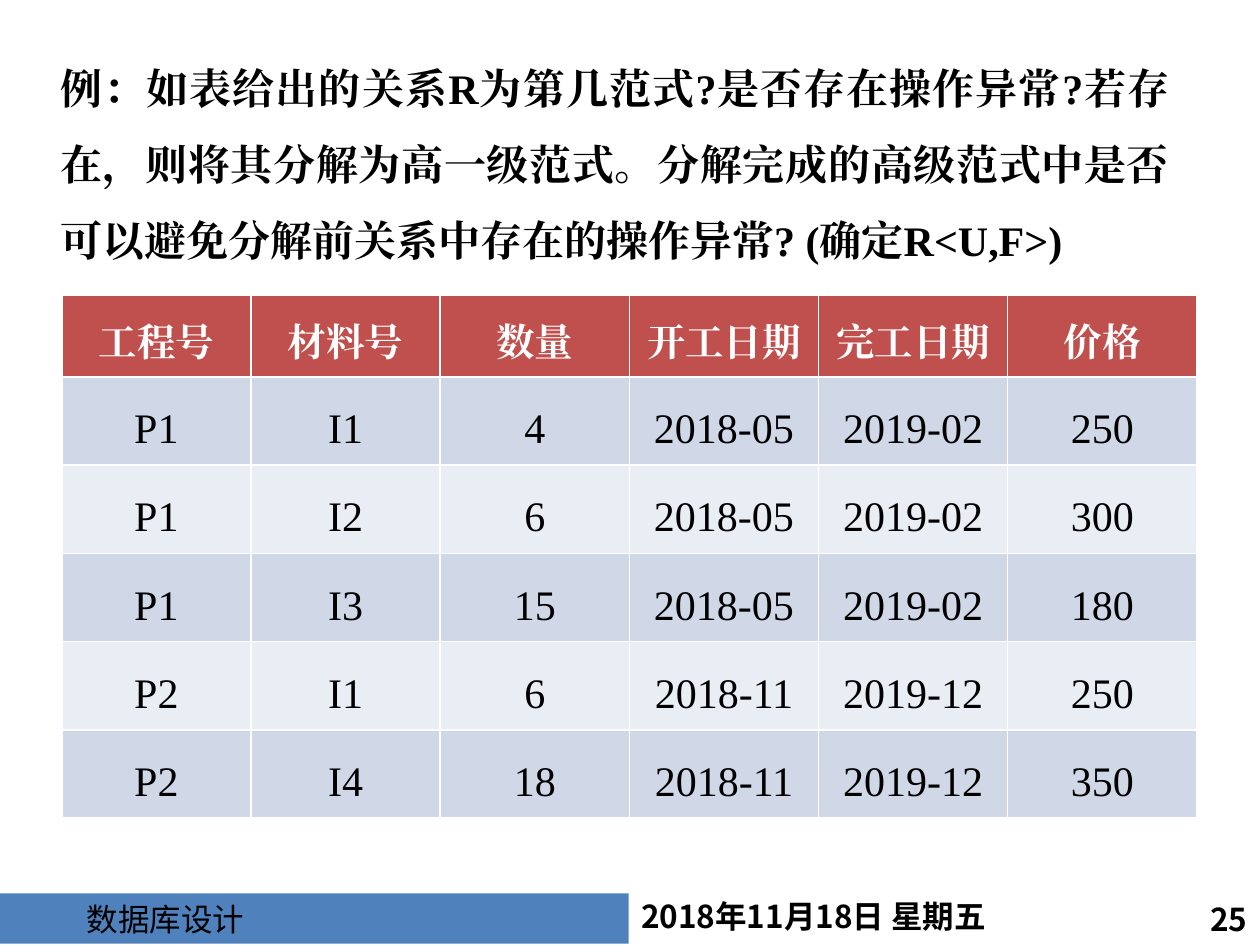
from pptx import Presentation
from pptx.dml.color import RGBColor
from pptx.enum.shapes import MSO_SHAPE
from pptx.enum.text import MSO_ANCHOR, PP_ALIGN
from pptx.oxml.ns import qn
from pptx.util import Inches, Pt

LEFT, CENTER, RIGHT, JUSTIFY = PP_ALIGN.LEFT, PP_ALIGN.CENTER, PP_ALIGN.RIGHT, PP_ALIGN.JUSTIFY
RECT, TOP = MSO_SHAPE.RECTANGLE, MSO_ANCHOR.TOP
BLACK = RGBColor(0x00, 0x00, 0x00)
WHITE = RGBColor(0xFF, 0xFF, 0xFF)
BLUE = RGBColor(0x4F, 0x81, 0xBD)
RED = RGBColor(0xC0, 0x50, 0x4D)
BANDS = [RGBColor(0xD0, 0xD8, 0xE8), RGBColor(0xE9, 0xED, 0xF4)]
SERIF, SANS, SANS_JP = "Times New Roman", "Noto Sans CJK SC", "Noto Sans CJK JP"

QUESTION = ("例：如表给出的关系R为第几范式?是否存在操作异常?若存在，则将其分解为高一级范式。"
            "分解完成的高级范式中是否可以避免分解前关系中存在的操作异常? (确定R<U,F>)")
COURSE = "数据库设计"
DATE = "2018年11月18日 星期五"
PAGE = "25"
ROWS = [
    ("工程号", "材料号", "数量", "开工日期", "完工日期", "价格"),
    ("P1", "I1", "4", "2018-05", "2019-02", "250"),
    ("P1", "I2", "6", "2018-05", "2019-02", "300"),
    ("P1", "I3", "15", "2018-05", "2019-02", "180"),
    ("P2", "I1", "6", "2018-11", "2019-12", "250"),
    ("P2", "I4", "18", "2018-11", "2019-12", "350"),
]
HEADER_H, ROW_H = 0.55, 0.61


def write(tf, text, size, font, color=BLACK, bold=False, align=LEFT, spacing=None):
    tf.word_wrap = True
    p = tf.paragraphs[0]
    p.alignment = align
    if spacing:
        p.line_spacing = spacing
    r = p.add_run()
    r.text = text
    r.font.size = Pt(size)
    r.font.bold = bold
    r.font.color.rgb = color
    r.font.name = font
    ea = r._r.get_or_add_rPr().makeelement(qn("a:ea"), {"typeface": font})
    r.font._element.append(ea)
    return p


def add_text(s, box, *args, **kwargs):
    sp = s.shapes.add_textbox(*map(Inches, box))
    write(sp.text_frame, *args, **kwargs)


def add_footer(s):
    add_text(s, (4.99, 7.07, 3.56, 0.4), DATE, 18, SANS, bold=True)
    add_text(s, (8.7, 7.09, 1.3, 0.46), PAGE, 18, SANS, bold=True, align=RIGHT)
    bar = s.shapes.add_shape(RECT, Inches(0), Inches(7.09), Inches(4.99), Inches(0.4))
    bar.shadow.inherit = False
    bar.fill.solid()
    bar.fill.fore_color.rgb = BLUE
    bar.line.fill.background()
    bar.text_frame.vertical_anchor = TOP
    p = write(bar.text_frame, COURSE, 18, SANS_JP)
    p._p.get_or_add_pPr().set("marL", str(Inches(0.59)))


def add_materials(s):
    heights = [HEADER_H] + [ROW_H] * (len(ROWS) - 1)
    frame = s.shapes.add_table(len(ROWS), len(ROWS[0]), Inches(0.49), Inches(2.34),
                               Inches(9.01), Inches(sum(heights)))
    table = frame.table
    for i, (row, height) in enumerate(zip(ROWS, heights)):
        table.rows[i].height = Inches(height)
        header = i == 0
        for j, text in enumerate(row):
            cell = table.cell(i, j)
            cell.margin_left = cell.margin_right = Inches(0.07)
            cell.fill.solid()
            cell.fill.fore_color.rgb = RED if header else BANDS[(i - 1) % 2]
            write(cell.text_frame, text, 22 if header else 24, SERIF,
                  WHITE if header else BLACK, header, CENTER, 1.5)


prs = Presentation()
prs.slide_width, prs.slide_height = Inches(10), Inches(7.5)
s = prs.slides.add_slide(prs.slide_layouts[6])
add_footer(s)
add_text(s, (0.38, 0.25, 9, 5.51), QUESTION, 24, SERIF, bold=True, align=JUSTIFY, spacing=1.5)
add_materials(s)
prs.save("out.pptx")
